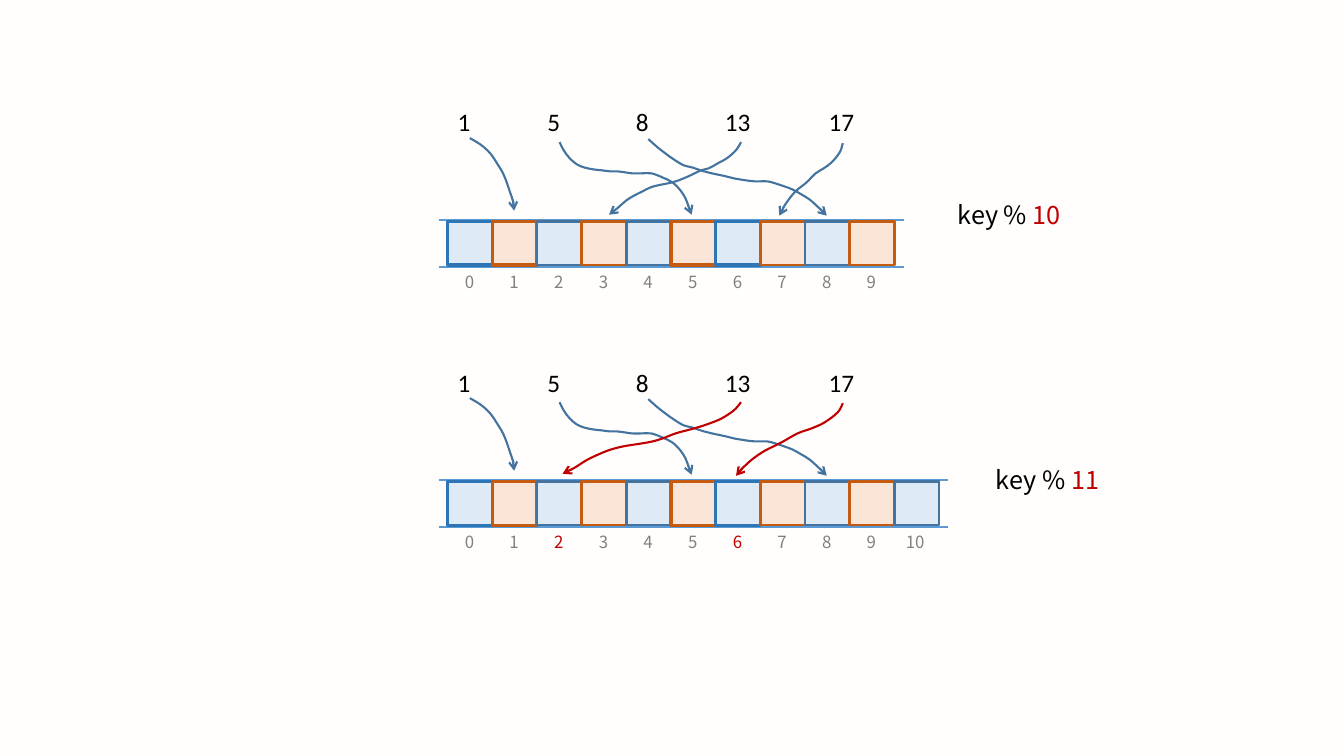
from dataclasses import dataclass

from lxml import etree
from pptx import Presentation
from pptx.dml.color import RGBColor
from pptx.enum.shapes import MSO_CONNECTOR, MSO_SHAPE
from pptx.enum.text import MSO_AUTO_SIZE
from pptx.oxml.ns import qn
from pptx.util import Inches, Pt

RECT = MSO_SHAPE.RECTANGLE
STRAIGHT = MSO_CONNECTOR.STRAIGHT
FIT_SHAPE = MSO_AUTO_SIZE.SHAPE_TO_FIT_TEXT

COLORS = {
    "paper": "FFFEFD", "rail": "5B9BD5", "blue": "2E75B6", "steel": "43739E",
    "orange": "C55A11", "pale_blue": "DEEBF7", "pale_orange": "FBE5D6",
    "red": "C00000", "gray": "808080", "black": "000000",
}
CJK = "Noto Sans CJK SC"
KEY_FORMAT = {"size": Pt(18), "name": "Calibri"}
INDEX_FORMAT = {"size": Pt(12), "name": CJK}
HASH_FORMAT = {"size": Pt(18), "name": CJK}

ROW_LEFT, CELL_H = 4.44, 0.43
CELL_W = (8.87 - ROW_LEFT) / 10
BOLD_CELLS = {0, 1, 5, 6}

Point = tuple[float, float]


@dataclass
class Arrow:
    points: list[Point]
    color: str = "steel"


@dataclass
class HashTable:
    top: float  # offset of the whole diagram
    size: int
    rail_end: float
    label: Point
    arrows: list[Arrow]
    moved: set[int]  # indexes shown in red


# Keys: text, left, width
KEYS = [("1", 4.44, 0.34), ("5", 5.33, 0.34), ("8", 6.21, 0.34),
        ("13", 7.09, 0.48), ("17", 8.12, 0.48)]

# Arrow courses, measured in the first diagram
SAME_SLOT = [
    Arrow([(4.66, 1.37), (4.73, 1.41), (4.8, 1.46), (4.87, 1.53), (4.93, 1.62),
           (4.99, 1.72), (5.03, 1.82), (5.06, 1.91), (5.09, 2), (5.1, 2.09)]),
    Arrow([(5.55, 1.41), (5.59, 1.49), (5.65, 1.57), (5.72, 1.63), (5.79, 1.66),
           (5.88, 1.68), (5.97, 1.69), (6.05, 1.7), (6.12, 1.7), (6.2, 1.71),
           (6.27, 1.72), (6.36, 1.72), (6.46, 1.72), (6.57, 1.76), (6.67, 1.81),
           (6.75, 1.89), (6.8, 1.97), (6.83, 2.05), (6.86, 2.13)]),
    Arrow([(6.43, 1.38), (6.52, 1.46), (6.61, 1.53), (6.68, 1.58), (6.78, 1.64),
           (6.86, 1.66), (6.98, 1.7), (7.06, 1.72), (7.2, 1.75), (7.28, 1.77),
           (7.4, 1.79), (7.49, 1.8), (7.61, 1.8), (7.69, 1.82), (7.78, 1.85),
           (7.86, 1.88), (7.95, 1.93), (8.03, 1.98), (8.13, 2.07), (8.2, 2.14)]),
]
MOD_10 = [
    Arrow([(7.35, 1.41), (7.3, 1.49), (7.21, 1.57), (7.12, 1.62), (7.03, 1.67),
           (6.95, 1.69), (6.87, 1.73), (6.78, 1.77), (6.7, 1.8), (6.62, 1.82),
           (6.52, 1.84), (6.45, 1.86), (6.37, 1.9), (6.29, 1.94), (6.21, 1.99),
           (6.13, 2.06), (6.04, 2.13)]),
    Arrow([(8.36, 1.42), (8.33, 1.51), (8.25, 1.61), (8.17, 1.67), (8.09, 1.72),
           (8, 1.81), (7.9, 1.89), (7.83, 1.97), (7.77, 2.06), (7.73, 2.14)]),
]
MOD_11 = [
    Arrow([(7.35, 1.41), (7.28, 1.49), (7.16, 1.57), (7.04, 1.62), (6.92, 1.66),
           (6.81, 1.69), (6.7, 1.72), (6.57, 1.77), (6.47, 1.8), (6.36, 1.82),
           (6.23, 1.84), (6.13, 1.86), (6.03, 1.89), (5.91, 1.94), (5.81, 1.99),
           (5.7, 2.06), (5.58, 2.12)], "red"),
    Arrow([(8.36, 1.42), (8.31, 1.51), (8.18, 1.61), (8.05, 1.67), (7.91, 1.72),
           (7.75, 1.81), (7.59, 1.89), (7.47, 1.97), (7.37, 2.06), (7.3, 2.14)],
          "red"),
]
TABLES = [
    HashTable(0, 10, 8.97, (9.4, 1.93), SAME_SLOT + MOD_10, set()),
    HashTable(2.58, 11, 9.4, (9.78, 4.56), SAME_SLOT + MOD_11, {2, 6}),
]


def rgb(name: str) -> RGBColor:
    return RGBColor.from_string(COLORS[name])


def set_line(s, color: str, width: float) -> None:
    s.line.color.rgb = rgb(color)
    s.line.width = Pt(width)


def add_text(slide, left: float, top: float, width: float, height: float,
             runs: list[tuple[str, str]], font_format: dict) -> None:
    s = slide.shapes.add_textbox(*map(Inches, (left, top, width, height)))
    tf = s.text_frame
    tf.word_wrap = False
    tf.auto_size = FIT_SHAPE
    p = tf.paragraphs[0]
    for text, color in runs:
        r = p.add_run()
        r.text = text
        for name, value in font_format.items():
            setattr(r.font, name, value)
        r.font.color.rgb = rgb(color)


def add_rail(slide, right: float, y: float) -> None:
    s = slide.shapes.add_connector(STRAIGHT, *map(Inches, (4.35, y, right, y)))
    set_line(s, "rail", 1.75)
    etree.SubElement(s.element.spPr, qn("a:effectLst"))


def add_cell(slide, index: int, top: float) -> None:
    bold = index in BOLD_CELLS
    if index % 2:
        fill, border = "pale_orange", "orange"
    else:
        fill, border = "pale_blue", "blue" if bold else "steel"
    left = ROW_LEFT + index * CELL_W
    s = slide.shapes.add_shape(RECT, *map(Inches, (left, top, CELL_W, CELL_H)))
    s.shadow.inherit = False
    s.fill.solid()
    s.fill.fore_color.rgb = rgb(fill)
    set_line(s, border, 2.25 if bold else 2)


def smooth_path(sp) -> None:
    """Turn each straight segment into a curve through the same points."""
    path = next(sp.iter(qn("a:path")))
    pts = [(int(pt.get("x")), int(pt.get("y"))) for pt in path.iter(qn("a:pt"))]
    padded = [pts[0], *pts, pts[-1]]
    segments = zip(path.findall(qn("a:lnTo")), padded, pts, pts[1:], padded[3:])
    for old, before, start, end, after in segments:
        curve = etree.Element(qn("a:cubicBezTo"))
        control_1 = [s + (e - b) / 6 for b, s, e in zip(before, start, end)]
        control_2 = [e - (a - s) / 6 for s, e, a in zip(start, end, after)]
        for x, y in (control_1, control_2, end):
            etree.SubElement(curve, qn("a:pt"), x=str(round(x)), y=str(round(y)))
        path.replace(old, curve)


def add_arrow(slide, arrow: Arrow, top: float) -> None:
    pts = [(Inches(x), Inches(y + top)) for x, y in arrow.points]
    builder = slide.shapes.build_freeform(*pts[0])
    builder.add_line_segments(pts[1:], close=False)
    s = builder.convert_to_shape()
    s.shadow.inherit = False
    s.fill.background()
    set_line(s, arrow.color, 1.5)
    smooth_path(s.element)
    etree.SubElement(s.line._get_or_add_ln(), qn("a:tailEnd"), type="arrow")


def draw_table(slide, table: HashTable) -> None:
    # Rails and cells
    for y in (2.18, 2.65):
        add_rail(slide, table.rail_end, table.top + y)
    for i in range(table.size):
        add_cell(slide, i, table.top + 2.2)
    # Indexes, centred under the cells
    for i in range(table.size):
        width = 0.3 if i < 10 else 0.41
        left = ROW_LEFT + (i + 0.5) * CELL_W - width / 2
        color = "red" if i in table.moved else "gray"
        add_text(slide, left, table.top + 2.65, width, 0.3,
                 [(str(i), color)], INDEX_FORMAT)
    # Keys and arrows to their slots
    for text, left, width in KEYS:
        add_text(slide, left, table.top + 1.01, width, 0.4,
                 [(text, "black")], KEY_FORMAT)
    for arrow in table.arrows:
        add_arrow(slide, arrow, table.top)
    # Hash function
    add_text(slide, *table.label, 1.32, 0.4,
             [("key % ", "black"), (str(table.size), "red")], HASH_FORMAT)


def main() -> None:
    prs = Presentation()
    prs.slide_width, prs.slide_height = Inches(13.33), Inches(7.5)
    slide = prs.slides.add_slide(prs.slide_layouts[6])
    slide.background.fill.solid()
    slide.background.fill.fore_color.rgb = rgb("paper")
    for table in TABLES:
        draw_table(slide, table)
    prs.save("out.pptx")


if __name__ == "__main__":
    main()
